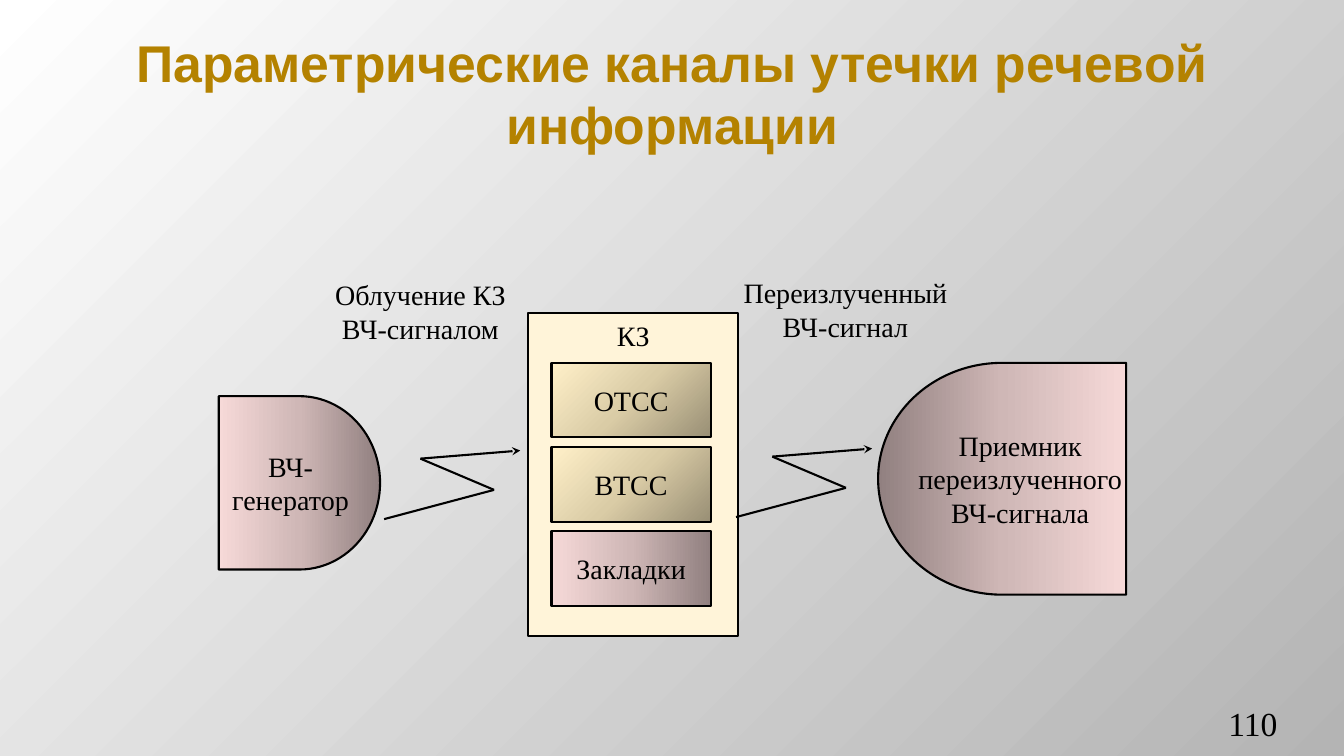
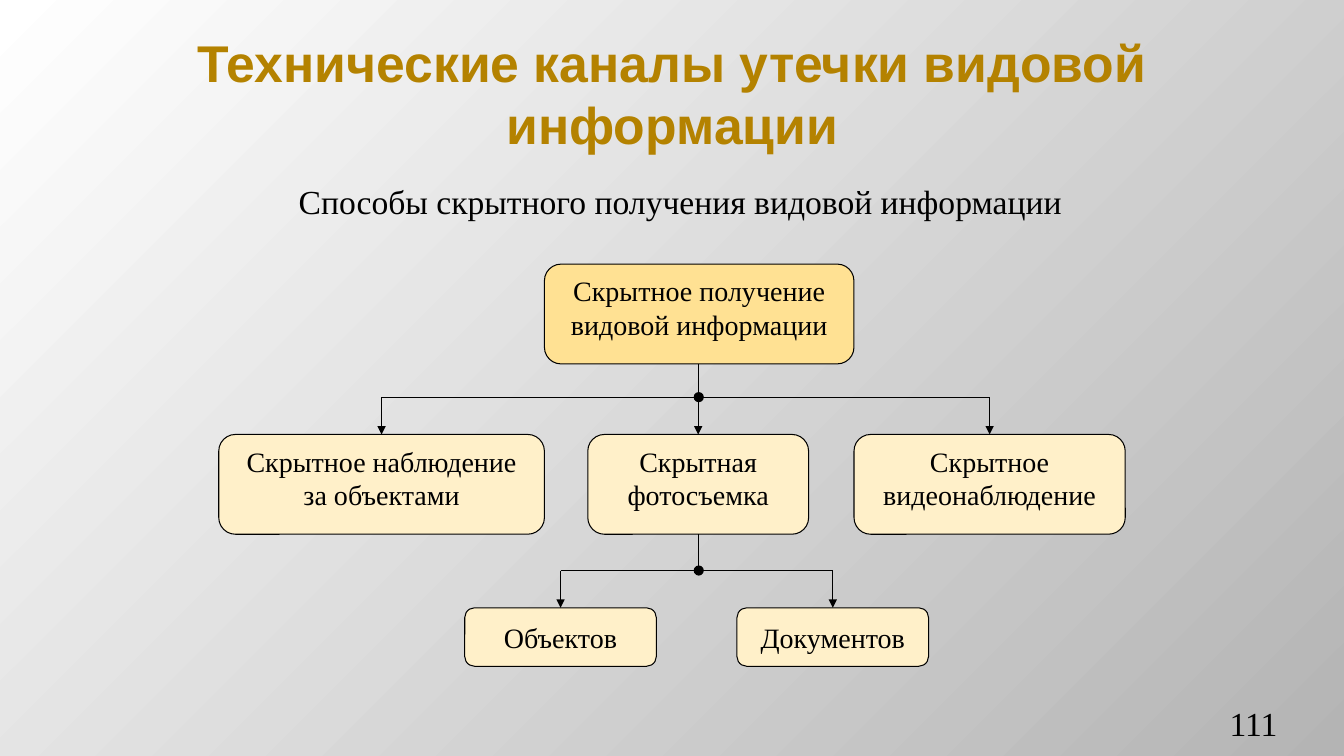
from pptx import Presentation
from pptx.dml.color import RGBColor
from pptx.enum.shapes import MSO_CONNECTOR, MSO_SHAPE
from pptx.enum.text import MSO_ANCHOR, PP_ALIGN
from pptx.oxml import parse_xml
from pptx.oxml.ns import nsdecls, qn
from pptx.util import Inches, Pt
from lxml.etree import SubElement

TITLE_FONT, BODY_FONT = "Arial", "Times New Roman"
GOLD, BLACK = "B48200", "000000"
CREAM, AMBER, PALE = "FFF4D9", "FFE193", "FFF0C9"
TOP, MIDDLE, BOTTOM = MSO_ANCHOR.TOP, MSO_ANCHOR.MIDDLE, MSO_ANCHOR.BOTTOM

# Gradients: colour stops and direction
TOP_LEFT = '<a:path path="circle"><a:fillToRect r="100000" b="100000"/></a:path>'
BOTTOM_RIGHT = '<a:path path="circle"><a:fillToRect l="100000" t="100000"/></a:path>'
LEFTWARD = '<a:lin ang="10800000" scaled="0"/>'
BACKGROUND = ([(0, "FFFFFF"), (100, "B4B4B4")], TOP_LEFT)
PINK = ([(0, "918080"), (50, "CFB7B6"), (100, "F6D9D8")], LEFTWARD)
SAND = ([(0, "998F75"), (50, "DACCA6"), (100, "FFF0C9")], BOTTOM_RIGHT)

FIRST_NUMBER = 110
TITLES = [
    "Параметрические каналы утечки речевой информации",
    "Технические каналы утечки видовой информации",
]

# Slide with the signal path
GENERATOR = ("ВЧ-\nгенератор", (2.17, 3.93, 1.6, 1.72))
RECEIVER = ("Приемник\nпереизлученного ВЧ-сигнала", (8.71, 3.6, 2.46, 2.3))
ZONE = ("КЗ", (5.24, 3.11, 2.08, 3.2))
ZONE_PARTS = [("ОТСС", SAND), ("ВТСС", SAND), ("Закладки", PINK)]
PART_LEFT, PART_TOP, PART_WIDTH, PART_HEIGHT, PART_STEP = 5.47, 3.6, 1.58, 0.74, 0.835
SIGNAL_LABELS = [
    ("Облучение КЗ ВЧ-сигналом", (3.2, 2.49, 1.94, 1.2)),
    ("Переизлученный ВЧ-сигнал", (7.24, 2.47, 2.29, 1.2)),
]
SIGNAL_STARTS = [(3.81, 5.15), (7.3, 5.13)]
ZIGZAG = [(0, 0), (1.09, -0.29), (0.36, -0.6), (1.35, -0.68)]

# Slide with the tree: text, left, width
SUBTITLE = "Способы скрытного получения видовой информации"
ROOT = [("Скрытное получение видовой информации", 5.4, 3.07)]
METHODS = [
    ("Скрытное наблюдение за объектами", 2.17, 3.23),
    ("Скрытная фотосъемка", 5.83, 2.19),
    ("Скрытное видеонаблюдение", 8.47, 2.69),
]
TARGETS = [("Объектов", 4.61, 1.9), ("Документов", 7.31, 1.9)]
# Boxes, top, height, fill, anchor
TIERS = [
    (ROOT, 2.62, 0.99, AMBER, TOP),
    (METHODS, 4.31, 0.99, PALE, TOP),
    (TARGETS, 6.03, 0.58, PALE, MIDDLE),
]
TRUNK, BUS_RISE, DOT = 6.93, 0.37, 0.09


def color(value):
    return RGBColor.from_string(value)


def inches(values):
    return [Inches(value) for value in values]


def set_gradient(owner, fill, gradient):
    """Give a shape or a slide background a gradient of any number of stops."""
    stops, direction = gradient
    stop_xml = "".join(
        f'<a:gs pos="{position * 1000}"><a:srgbClr val="{value}"/></a:gs>'
        for position, value in stops
    )
    fill.gradient()
    default = next(owner.element.iter(qn("a:gradFill")))
    default.getparent().replace(default, parse_xml(
        f'<a:gradFill {nsdecls("a")} rotWithShape="1">'
        f"<a:gsLst>{stop_xml}</a:gsLst>{direction}</a:gradFill>"
    ))


def write(shape, text, size=20, font=BODY_FONT, value=BLACK, bold=False,
          align=PP_ALIGN.CENTER, anchor=MIDDLE, left=0.1, right=0.1):
    frame = shape.text_frame
    frame.text = text
    frame.word_wrap = True
    frame.vertical_anchor = anchor
    frame.margin_left, frame.margin_right = inches((left, right))
    for paragraph in frame.paragraphs:
        paragraph.alignment = align
        for run in paragraph.runs:
            run.font.size, run.font.name, run.font.bold = Pt(size), font, bold
            run.font.color.rgb = color(value)


def add_label(slide, text, box, **style):
    write(slide.shapes.add_textbox(*inches(box)), text, **style)


def add_box(slide, kind, box, fill, text="", width=1.5, **style):
    shape = slide.shapes.add_shape(kind, *inches(box))
    shape.shadow.inherit = False
    if isinstance(fill, str):
        shape.fill.solid()
        shape.fill.fore_color.rgb = color(fill)
    else:
        set_gradient(shape, shape.fill, fill)
    shape.line.color.rgb = color(BLACK)
    shape.line.width = Pt(width)
    if text:
        write(shape, text, **style)
    return shape


def add_line(slide, start, end, width, head=None):
    line = slide.shapes.add_connector(MSO_CONNECTOR.STRAIGHT, *inches((*start, *end)))
    line.line.color.rgb = color(BLACK)
    line.line.width = Pt(width)
    if head:
        SubElement(line.line._get_or_add_ln(), qn("a:tailEnd"), type=head)
    SubElement(line.element.spPr, qn("a:effectLst"))


def add_base_slide(presentation, index):
    """Add a slide with the shared background, title and number."""
    slide = presentation.slides.add_slide(presentation.slide_layouts[6])
    set_gradient(slide, slide.background.fill, BACKGROUND)
    add_label(slide, TITLES[index], (0.67, 0.3, 12, 1.25),
              size=36.9, font=TITLE_FONT, value=GOLD, bold=True)
    add_label(slide, str(FIRST_NUMBER + index), (11.56, 7.02, 1.11, 0.4), size=24,
              align=PP_ALIGN.RIGHT, anchor=BOTTOM, left=0, right=0)
    return slide


def draw_signal_path(slide):
    text, box = GENERATOR
    add_box(slide, MSO_SHAPE.FLOWCHART_DELAY, box, PINK, text, right=0.04)
    text, box = RECEIVER
    receiver = add_box(slide, MSO_SHAPE.FLOWCHART_DELAY, box, PINK, text, left=0, right=0)
    receiver.element.spPr.get_or_add_xfrm().set("flipH", "1")
    text, box = ZONE
    add_box(slide, MSO_SHAPE.RECTANGLE, box, CREAM, text, anchor=TOP)
    for row, (text, fill) in enumerate(ZONE_PARTS):
        box = (PART_LEFT, PART_TOP + row * PART_STEP, PART_WIDTH, PART_HEIGHT)
        add_box(slide, MSO_SHAPE.RECTANGLE, box, fill, text, left=0, right=0)
    for text, box in SIGNAL_LABELS:
        add_label(slide, text, box)
    for left, top in SIGNAL_STARTS:
        points = [(left + across, top + down) for across, down in ZIGZAG]
        for start, end in zip(points, points[1:]):
            add_line(slide, start, end, 1.5, "stealth" if end == points[-1] else None)


def draw_branches(slide, parent_bottom, top, centers):
    """Join a parent box to the boxes below it through a horizontal bus."""
    bus = top - BUS_RISE
    add_line(slide, (TRUNK, parent_bottom), (TRUNK, bus), 0.75)
    add_line(slide, (centers[0], bus), (centers[-1], bus), 0.75)
    for center in centers:
        add_line(slide, (center, bus), (center, top), 0.75, "triangle")
    add_box(slide, MSO_SHAPE.OVAL, (TRUNK - DOT / 2, bus - DOT / 2, DOT, DOT), BLACK, width=0.75)


def draw_tree(slide):
    add_label(slide, SUBTITLE, (2.17, 1.75, 9, 0.72), size=24, anchor=TOP, left=0.25)
    for boxes, top, height, fill, anchor in TIERS:
        for text, left, width in boxes:
            add_box(slide, MSO_SHAPE.ROUNDED_RECTANGLE, (left, top, width, height),
                    fill, text, width=0.75, anchor=anchor)
    for upper, lower in zip(TIERS, TIERS[1:]):
        centers = [left + width / 2 for _, left, width in lower[0]]
        draw_branches(slide, upper[1] + upper[2], lower[1], centers)


def main():
    presentation = Presentation()
    presentation.slide_width, presentation.slide_height = inches((13.33, 7.5))
    for index, draw in enumerate((draw_signal_path, draw_tree)):
        draw(add_base_slide(presentation, index))
    presentation.save("out.pptx")


if __name__ == "__main__":
    main()
